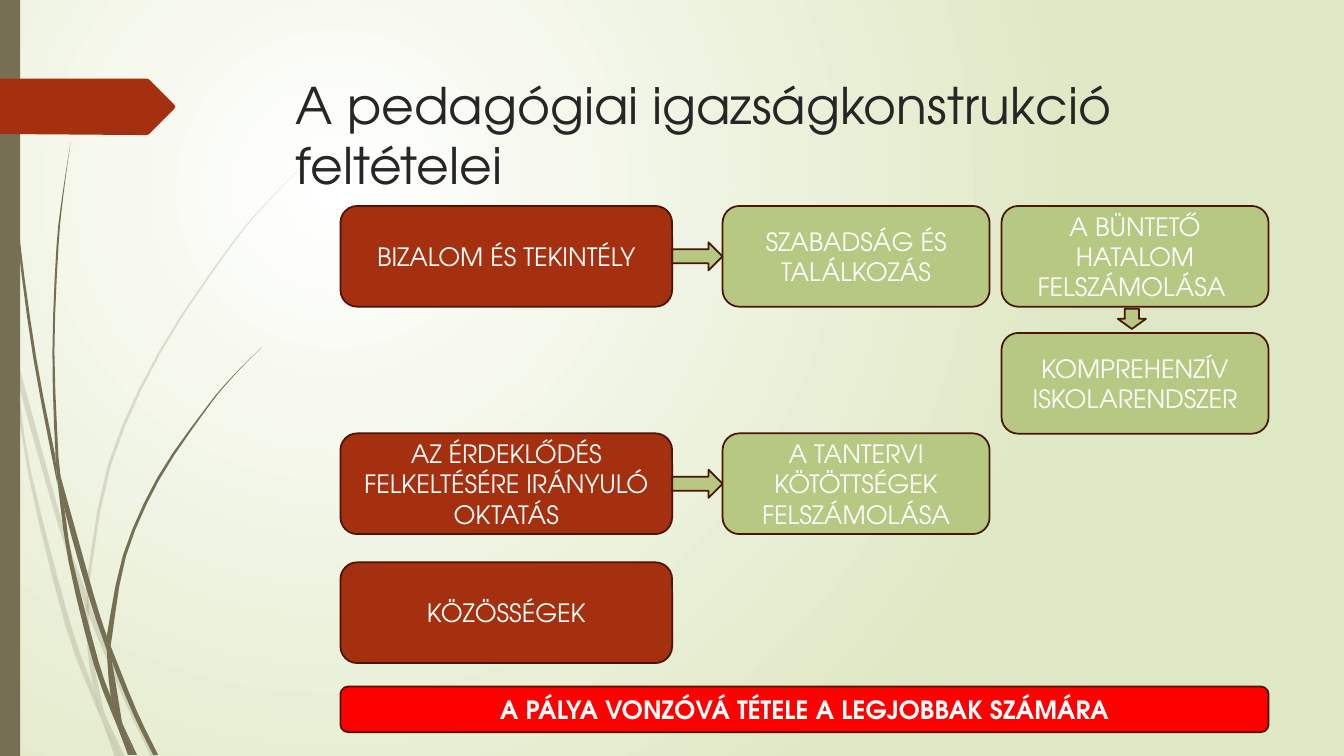
from lxml import etree
from pptx import Presentation
from pptx import util as u
from pptx.dml.color import RGBColor
from pptx.enum import shapes, text
from pptx.oxml import ns

FONT = "TeX Gyre Adventor"
OLIVE, RUST, GREEN, RED = "766F54", "A53010", "B6C882", "FF0000"
OUTLINE, WHITE, INK = "481507", "FFFFFF", "262626"
SHAPE = shapes.MSO_SHAPE

PALE_BLADES = [
    ([(11, 350), (9, 322), (0, 282)], [(0, 299), (10, 344), (11, 350)]),
    ([(14, 345), (17, 376), (58, 522), (84, 599)], [(85, 586), (62, 520), (14, 345)]),
    ([(88, 596), (88, 610), (123, 694), (150, 751)], [(155, 751), (127, 692), (92, 607), (88, 596)]),
    ([(119, 751), (124, 751)], [(105, 711), (119, 751)]),
    ([(11, 350), (28, 470), (65, 621), (92, 693), (101, 714)],
     [(93, 683), (70, 619), (31, 469), (17, 376), (11, 350)]),
    ([(84, 599), (87, 646), (93, 683), (105, 711)], [(103, 706), (91, 646), (88, 610), (84, 599)]),
    ([(312, 153), (268, 197), (228, 244), (158, 348), (107, 461), (85, 584)],
     [(88, 596), (88, 584), (110, 462), (160, 349), (229, 245), (268, 198), (312, 153)]),
    ([(101, 714), (114, 751)], [(119, 751), (101, 714)]),
    ([(85, 586), (84, 599)], [(88, 610), (88, 596), (85, 586)]),
    ([(93, 683), (101, 714), (119, 751)], [(105, 711), (96, 692), (93, 683)]),
]
DARK_BLADES = [
    ([(3, 0), (7, 110), (17, 233), (33, 355), (57, 481)],
     [(55, 453), (36, 355), (19, 232), (8, 109), (4, 0)]),
    ([(60, 472), (64, 505), (88, 592), (106, 645)], [(106, 631), (93, 590), (60, 472)]),
    ([(110, 641), (111, 656), (132, 708), (152, 749)], [(157, 749), (136, 706), (113, 649), (110, 641)]),
    ([(57, 477), (68, 557), (93, 659), (117, 722)],
     [(110, 691), (98, 657), (72, 556), (64, 505), (57, 477)]),
    ([(70, 141), (62, 193), (56, 245), (52, 349), (55, 449), (60, 472)],
     [(58, 453), (54, 349), (58, 245), (63, 193), (70, 141)]),
    ([(133, 749), (136, 749)], [(122, 719), (133, 749)]),
    ([(55, 449), (57, 477), (64, 505)], [(60, 472), (55, 449)]),
    ([(260, 344), (231, 373), (204, 405), (156, 474), (122, 551), (106, 631)],
     [(110, 641), (111, 633), (125, 552), (158, 476), (205, 406), (231, 374), (260, 344)]),
    ([(117, 722), (127, 749)], [(131, 749), (117, 722)]),
    ([(106, 645), (110, 691), (122, 719)], [(121, 716), (111, 656), (106, 645)]),
    ([(106, 631), (106, 645)], [(111, 656), (110, 641), (106, 631)]),
    ([(110, 691), (117, 722), (130, 749)], [(133, 749), (122, 719), (110, 691)]),
]


def color(value):
    return RGBColor.from_string(value)


def paint(shape, fill, line=None):
    shape.shadow.inherit = False
    shape.fill.solid()
    shape.fill.fore_color.rgb = color(fill)
    if line:
        shape.line.color.rgb = color(line)
        shape.line.width = u.Pt(1.25)
    else:
        shape.line.fill.background()


def set_opacity(shape, percent):
    fill = shape.fill._xPr.find(ns.qn("a:solidFill"))
    etree.SubElement(fill[0], ns.qn("a:alpha"), val=str(percent * 1000))


def write(shape, words, size, ink, bold=False):
    shape.text_frame.word_wrap = True
    paragraph = shape.text_frame.paragraphs[0]
    paragraph.text = words
    paragraph.font.name = FONT
    paragraph.font.size = u.Pt(size)
    paragraph.font.bold = bold
    paragraph.font.color.rgb = color(ink)
    return paragraph


def add_preset(slide, kind, left, top, width, height, fill, line=None):
    shape = slide.shapes.add_shape(kind, u.Cm(left), u.Cm(top), u.Cm(width), u.Cm(height))
    paint(shape, fill, line)
    return shape


def add_label(slide, box, words, fill, bold=False):
    shape = add_preset(slide, SHAPE.ROUNDED_RECTANGLE, *box, fill, OUTLINE)
    shape.text_frame.vertical_anchor = text.MSO_ANCHOR.MIDDLE
    write(shape, words, 18, WHITE, bold).alignment = text.PP_ALIGN.CENTER


def smooth(knots, steps=3):
    padded = [knots[0], *knots, knots[-1]]
    curve = []
    for a, b, c, d in zip(padded, padded[1:], padded[2:], padded[3:]):
        for step in range(steps):
            t = step / steps
            curve.append(tuple(
                (2 * q + (r - p) * t + (2 * p - 5 * q + 4 * r - s) * t ** 2
                 + (3 * q - p - 3 * r + s) * t ** 3) / 2
                for p, q, r, s in zip(a, b, c, d)))
    return curve + [knots[-1]]


def add_outline(slide, points, left, top, unit, fill):
    places = [(u.Cm(left + x * unit), u.Cm(top + y * unit)) for x, y in points]
    builder = slide.shapes.build_freeform(*places[0])
    builder.add_line_segments(places[1:], close=True)
    shape = builder.convert_to_shape()
    paint(shape, fill)
    return shape


def add_background(slide):
    slide.background.fill.gradient()
    gradient = slide.background.fill._xPr.find(ns.qn("a:gradFill"))
    for child in list(gradient):
        gradient.remove(child)
    stops = etree.SubElement(gradient, ns.qn("a:gsLst"))
    for position, value in ((0, WHITE), (100000, "DFE8C4")):
        stop = etree.SubElement(stops, ns.qn("a:gs"), pos=str(position))
        etree.SubElement(stop, ns.qn("a:srgbClr"), val=value)
    circle = etree.SubElement(gradient, ns.qn("a:path"), path="circle")
    etree.SubElement(circle, ns.qn("a:fillToRect"), l="50000", t="50000", r="100000", b="100000")


def add_decoration(slide, left, top, height):
    unit = height / 750
    for blades, opacity in ((PALE_BLADES, 20), (DARK_BLADES, 100)):
        for near, far in blades:
            blade = add_outline(slide, smooth(near) + smooth(far), left, top, unit, OLIVE)
            if opacity < 100:
                set_opacity(blade, opacity)
    add_preset(slide, SHAPE.RECTANGLE, left, top, 0.51, height, OLIVE)
    tag = [(0, 78), (146, 78), (148, 79), (173, 104), (174, 106), (173, 108),
           (148, 133), (146, 134), (136, 134), (0, 133)]
    add_outline(slide, tag, left, top, unit, RUST)


def add_title(slide, left, top, width, height):
    title = slide.shapes.add_textbox(u.Cm(left), u.Cm(top), u.Cm(width), u.Cm(height))
    write(title, "A pedagógiai igazságkonstrukció feltételei", 36, INK)


def add_flow(slide, left, top, width, height):
    cause, effect, row, gap, arrow = 8.36, 6.73, 2.54, 1.27, 0.71
    middle = left + cause + gap
    right = left + width - effect
    second, third, fourth = top + 3.2, top + 5.73, top + 8.98
    labels = [
        (left, top, cause, "BIZALOM ÉS TEKINTÉLY", RUST),
        (middle, top, effect, "SZABADSÁG ÉS TALÁLKOZÁS", GREEN),
        (right, top, effect, "A BÜNTETŐ HATALOM FELSZÁMOLÁSA ", GREEN),
        (right, second, effect, "KOMPREHENZÍV ISKOLARENDSZER", GREEN),
        (left, third, cause, "AZ ÉRDEKLŐDÉS FELKELTÉSÉRE IRÁNYULÓ OKTATÁS", RUST),
        (middle, third, effect, "A TANTERVI KÖTÖTTSÉGEK FELSZÁMOLÁSA", GREEN),
        (left, fourth, cause, "KÖZÖSSÉGEK", RUST),
    ]
    for x, y, across, words, fill in labels:
        add_label(slide, (x, y, across, row), words, fill)
    for y in (top, third):
        add_preset(slide, SHAPE.RIGHT_ARROW, left + cause, y + (row - arrow) / 2,
                   gap, arrow, GREEN, OUTLINE)
    add_preset(slide, SHAPE.DOWN_ARROW, right + (effect - arrow) / 2 - 0.08, top + row + 0.05,
               arrow, 0.51, GREEN, OUTLINE)
    banner = 1.15
    add_label(slide, (left, top + height - banner, width, banner),
              "A PÁLYA VONZÓVÁ TÉTELE A LEGJOBBAK SZÁMÁRA", RED, bold=True)


def main():
    presentation = Presentation()
    presentation.slide_width, presentation.slide_height = u.Cm(33.87), u.Cm(19.05)
    slide = presentation.slides.add_slide(presentation.slide_layouts[6])
    add_background(slide)
    add_decoration(slide, 0, 0, 19.05)
    add_title(slide, 7.21, 1.74, 24.77, 3.56)
    add_flow(slide, 8.58, 5.19, 23.39, 13.26)
    presentation.save("out.pptx")


if __name__ == "__main__":
    main()
